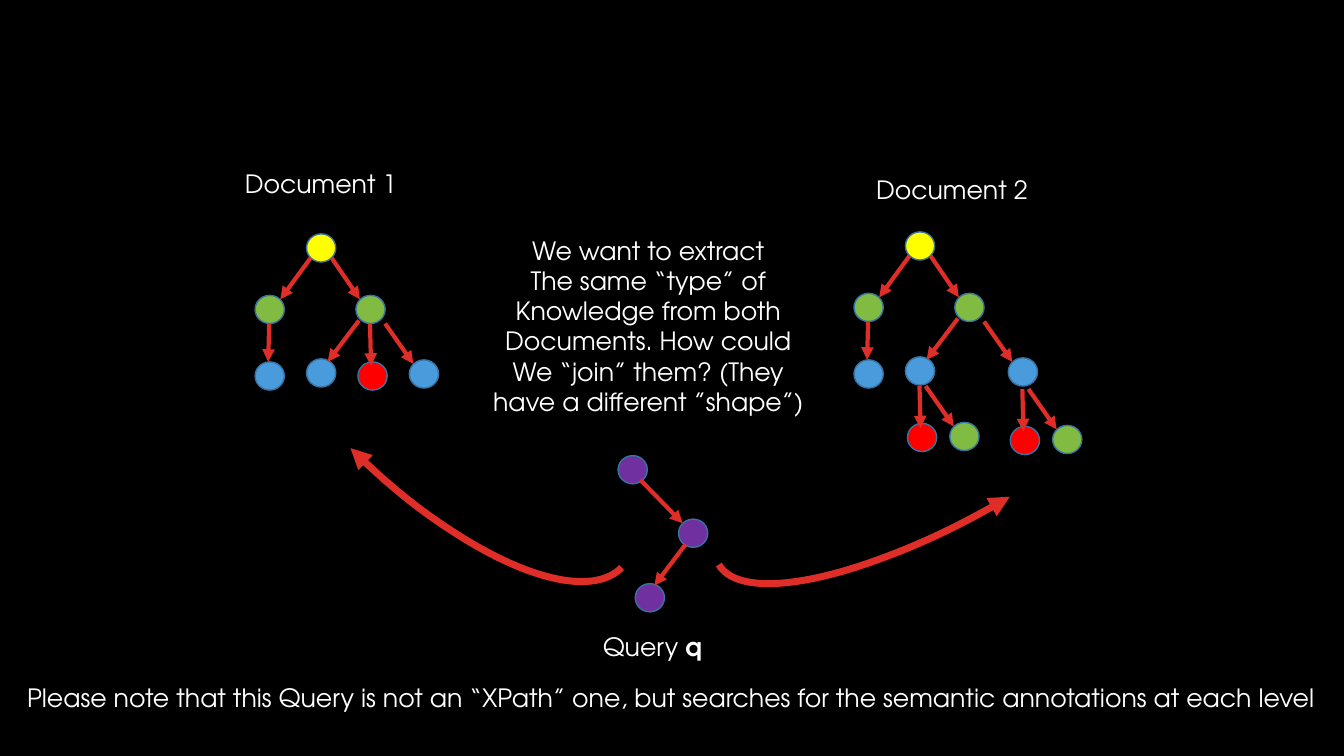
from typing import NamedTuple

from lxml.etree import SubElement
from pptx import Presentation
from pptx.dml.color import RGBColor
from pptx.enum.shapes import MSO_CONNECTOR as CONN, MSO_SHAPE as SHAPE
from pptx.enum.text import MSO_ANCHOR as ANCHOR, MSO_AUTO_SIZE as FIT, PP_ALIGN as ALIGN
from pptx.oxml.ns import qn
from pptx.util import Inches, Pt

BLACK = RGBColor(0x00, 0x00, 0x00)
WHITE = RGBColor(0xFF, 0xFF, 0xFF)
YELLOW = RGBColor(0xFF, 0xFF, 0x00)
GREEN = RGBColor(0x81, 0xBB, 0x42)
BLUE = RGBColor(0x4A, 0x9B, 0xDC)
RED = RGBColor(0xFF, 0x00, 0x00)
PURPLE = RGBColor(0x70, 0x30, 0xA0)
OUTLINE = RGBColor(0x37, 0x73, 0xA3)
ARROW = RGBColor(0xDF, 0x2E, 0x28)

FONT = {"name": "TeX Gyre Adventor", "size": Pt(18)}
NODE_W, NODE_H = Inches(0.29), Inches(0.28)


class Node(NamedTuple):
    x: float
    y: float
    color: RGBColor


class Edge(NamedTuple):
    x1: float
    y1: float
    x2: float
    y2: float


class Part(NamedTuple):
    """Nodes and edges, measured from the corner of the part's first node."""
    nodes: list[Node]
    edges: list[Edge]


class Placed(NamedTuple):
    x: float
    y: float
    part: Part


class Label(NamedTuple):
    x: float
    y: float
    w: float
    runs: list[tuple[str, bool]]
    wrap: bool = False


class Arc(NamedTuple):
    x: float
    y: float
    w: float
    h: float
    rotation: float
    flips: list[str]


# Tree parts: both documents share the core
CORE = Part(
    [Node(0, 0, YELLOW), Node(0.49, 0.61, GREEN), Node(-0.51, 0.61, GREEN),
     Node(1.02, 1.25, BLUE), Node(0, 1.24, BLUE), Node(-0.51, 1.27, BLUE)],
    [Edge(0.04, 0.24, -0.26, 0.65), Edge(0.25, 0.24, 0.53, 0.65),
     Edge(0.78, 0.89, 1.06, 1.29), Edge(0.52, 0.86, 0.21, 1.27),
     Edge(-0.37, 0.89, -0.38, 1.27)])
RED_LEAF = Part([Node(0.51, 1.27, RED)], [Edge(0.63, 0.89, 0.64, 1.31)])
LEAF_PAIR = Part([Node(0.01, 0.66, RED), Node(0.43, 0.65, GREEN)],
                 [Edge(0.13, 0.29, 0.14, 0.71), Edge(0.19, 0.29, 0.47, 0.69)])
QUERY = Part([Node(0, 0, PURPLE), Node(0.6, 0.63, PURPLE), Node(0.17, 1.27, PURPLE)],
             [Edge(0.22, 0.24, 0.64, 0.67), Edge(0.67, 0.88, 0.36, 1.29)])

TREES = [
    [Placed(3.04, 2.32, CORE), Placed(3.04, 2.32, RED_LEAF)],
    [Placed(8.98, 2.3, CORE), Placed(8.99, 3.54, LEAF_PAIR), Placed(10.01, 3.57, LEAF_PAIR)],
    [Placed(6.13, 4.52, QUERY)],
]
QUESTION = ["We want to extract", "The same “type” of", "Knowledge from both",
            "Documents. How could", "We “join” them? (They", "have a different ”shape”)"]
LABELS = [
    Label(2.33, 1.62, 1.72, [("Document 1", False)]),
    Label(8.59, 1.68, 1.72, [("Document 2", False)]),
    Label(5.88, 6.21, 1.19, [("Query ", False), ("q", True)]),
    Label(0.17, 6.72, 13.06, [("Please note that this Query is not an “XPath” one, but searches "
                               "for the semantic annotations at each level", False)], wrap=True),
]
ARCS = [Arc(6.74, 3.29, 5.66, 1.76, 329.6, ["flipH", "flipV"]),
        Arc(1.47, 2.65, 5.49, 2.1, 44.7, ["flipV"])]


def set_attrs(obj, values: dict) -> None:
    for name, value in values.items():
        setattr(obj, name, value)


def add_run(p, text: str, bold: bool = False) -> None:
    r = p.add_run()
    r.text = text
    set_attrs(r.font, FONT)
    if bold:
        r.font.bold = True
    r.font.color.rgb = WHITE


def style_arrow(sp, width: float, end: str) -> None:
    sp.line.color.rgb = ARROW
    sp.line.width = Pt(width)
    SubElement(sp.line._get_or_add_ln(), qn(end), type="triangle")


def add_node(shapes, x: float, y: float, color: RGBColor) -> None:
    sp = shapes.add_shape(SHAPE.OVAL, Inches(x), Inches(y), NODE_W, NODE_H)
    sp.shadow.inherit = False
    sp.fill.solid()
    sp.fill.fore_color.rgb = color
    sp.line.color.rgb = OUTLINE
    sp.line.width = Pt(1)


def add_edge(shapes, x: float, y: float, edge: Edge) -> None:
    sp = shapes.add_connector(CONN.STRAIGHT, Inches(x + edge.x1), Inches(y + edge.y1),
                              Inches(x + edge.x2), Inches(y + edge.y2))
    style_arrow(sp, 3, "a:tailEnd")
    SubElement(sp.element.spPr, qn("a:effectLst"))


def add_tree(shapes, tree: list[Placed]) -> None:
    group = shapes.add_group_shape().shapes
    for x, y, part in tree:
        for node in part.nodes:
            add_node(group, x + node.x, y + node.y, node.color)
        for edge in part.edges:
            add_edge(group, x, y, edge)


def add_question(shapes, lines: list[str]) -> None:
    sp = shapes.add_shape(SHAPE.RECTANGLE, Inches(4.76), Inches(2.27), Inches(3.34), Inches(1.92))
    sp.shadow.inherit = False
    sp.fill.solid()
    sp.fill.fore_color.rgb = BLACK
    sp.line.fill.background()
    tf = sp.text_frame
    set_attrs(tf, {"word_wrap": False, "auto_size": FIT.SHAPE_TO_FIT_TEXT,
                   "vertical_anchor": ANCHOR.MIDDLE})
    for i, line in enumerate(lines):
        p = tf.add_paragraph() if i else tf.paragraphs[0]
        p.alignment = ALIGN.CENTER
        add_run(p, line)


def add_label(shapes, label: Label) -> None:
    sp = shapes.add_textbox(Inches(label.x), Inches(label.y), Inches(label.w), Inches(0.4))
    tf = sp.text_frame
    set_attrs(tf, {"word_wrap": label.wrap, "auto_size": FIT.SHAPE_TO_FIT_TEXT})
    for text, bold in label.runs:
        add_run(tf.paragraphs[0], text, bold)


def add_arc(shapes, arc: Arc) -> None:
    sp = shapes.add_shape(SHAPE.ARC, Inches(arc.x), Inches(arc.y), Inches(arc.w), Inches(arc.h))
    sp.rotation = arc.rotation
    sp.shadow.inherit = False
    sp.fill.background()
    style_arrow(sp, 5, "a:headEnd")
    for flip in arc.flips:
        sp.element.spPr.find(qn("a:xfrm")).set(flip, "1")


prs = Presentation()
set_attrs(prs, {"slide_width": Inches(13.33), "slide_height": Inches(7.5)})
s = prs.slides.add_slide(prs.slide_layouts[6])
s.background.fill.solid()
s.background.fill.fore_color.rgb = BLACK

# Question, trees, labels and the arrows from the query to the documents
add_question(s.shapes, QUESTION)
for tree in TREES:
    add_tree(s.shapes, tree)
for label in LABELS:
    add_label(s.shapes, label)
for arc in ARCS:
    add_arc(s.shapes, arc)

prs.save("out.pptx")
